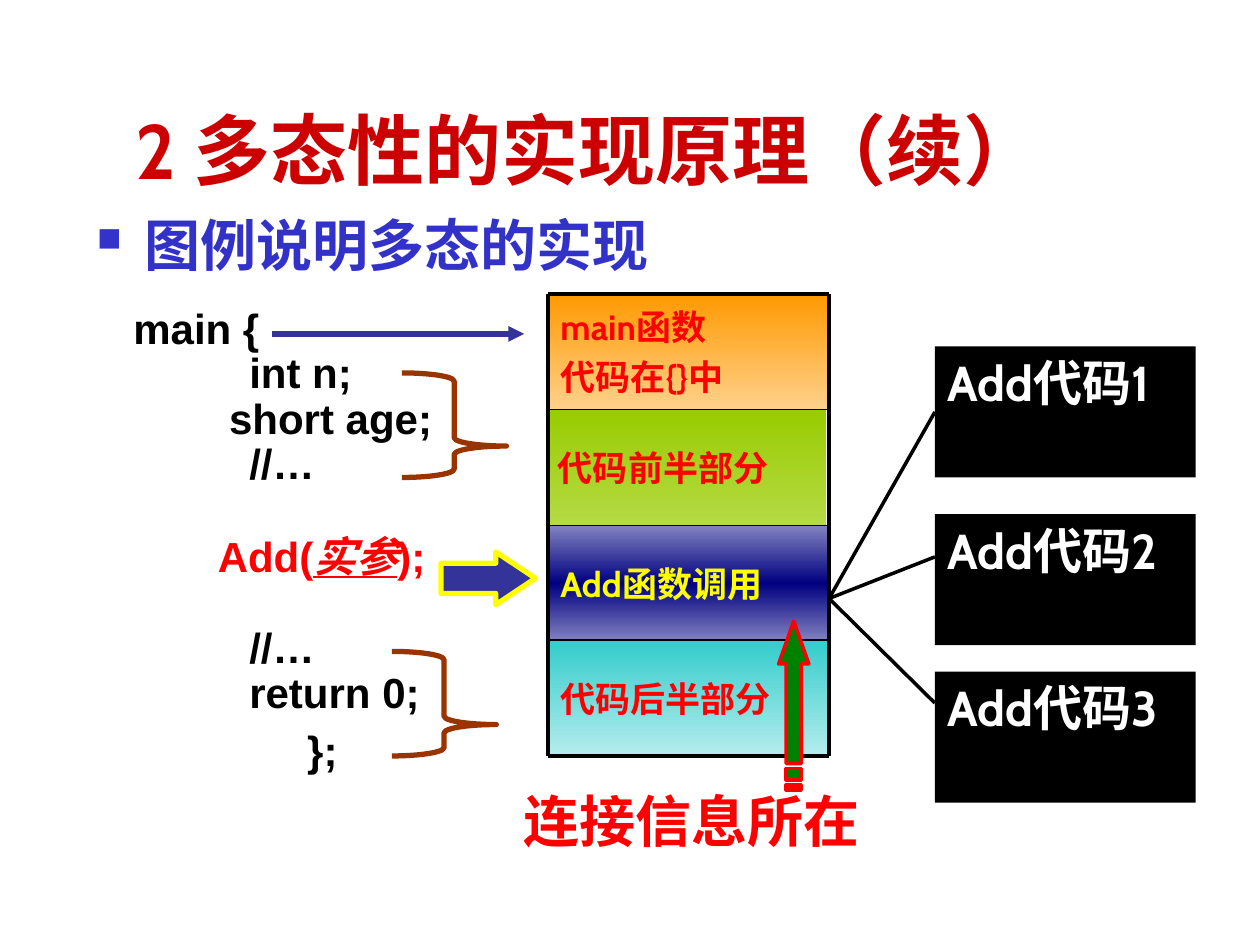
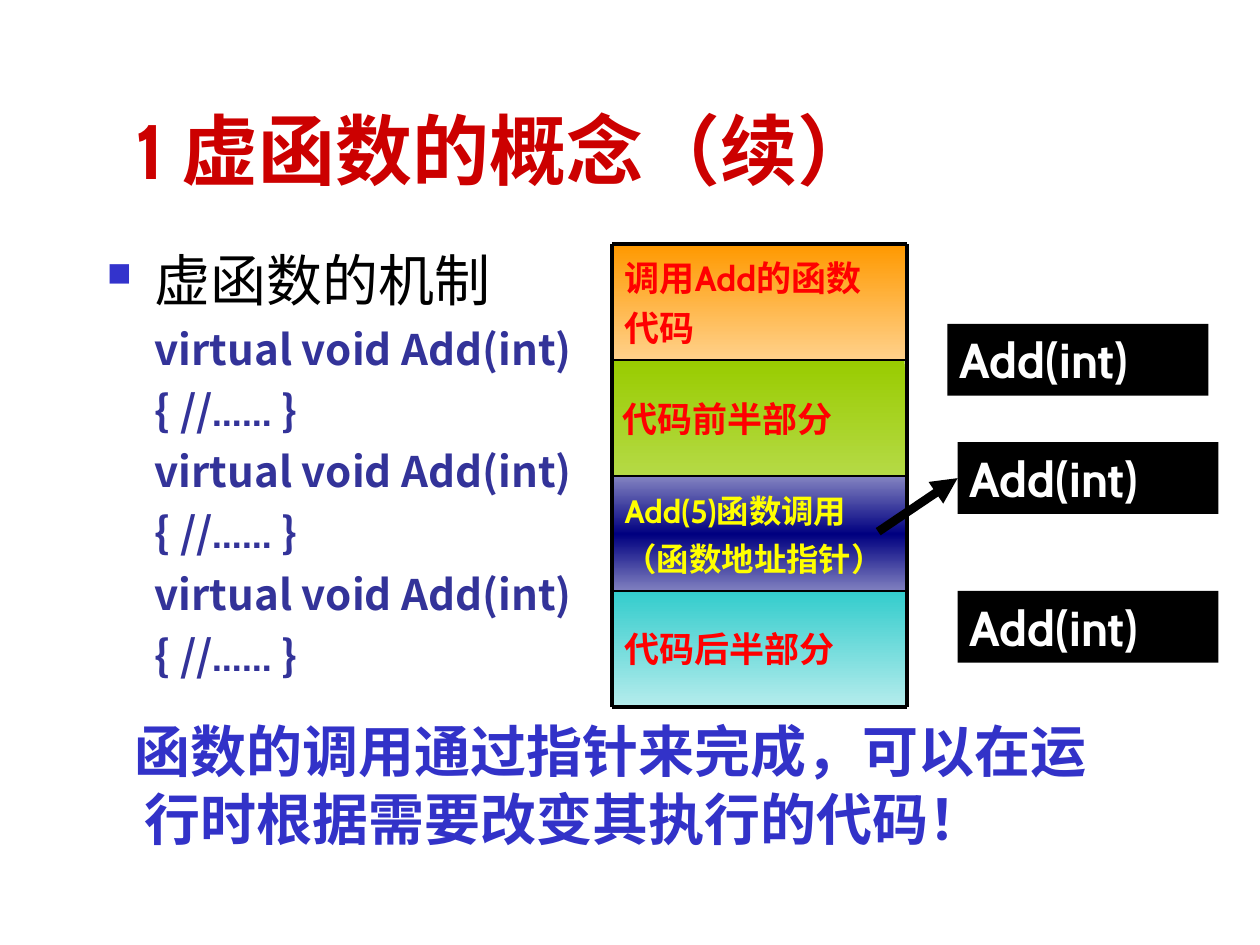
from dataclasses import dataclass, replace
from typing import Optional

from lxml.etree import SubElement
from pptx import Presentation
from pptx.dml.color import RGBColor
from pptx.enum.shapes import MSO_CONNECTOR, MSO_SHAPE
from pptx.enum.text import MSO_ANCHOR, PP_ALIGN
from pptx.oxml.ns import qn
from pptx.util import Pt

PX = 9144

BLACK = RGBColor(0x00, 0x00, 0x00)
WHITE = RGBColor(0xFF, 0xFF, 0xFF)
RED = RGBColor(0xFF, 0x00, 0x00)
YELLOW = RGBColor(0xFF, 0xFF, 0x00)
GREEN = RGBColor(0x00, 0x80, 0x00)
BROWN = RGBColor(0x99, 0x33, 0x00)
INDIGO = RGBColor(0x33, 0x33, 0x99)
TITLE_RED = RGBColor(0xCC, 0x00, 0x00)
HEADING_BLUE = RGBColor(0x32, 0x32, 0xC8)
BULLET_BLUE = RGBColor(0x33, 0x33, 0xCC)
ORANGE = RGBColor(0xFF, 0x99, 0x00)
PALE_ORANGE = RGBColor(0xFF, 0xD1, 0x8B)
LIME = RGBColor(0x99, 0xCC, 0x00)
PALE_LIME = RGBColor(0xB5, 0xDA, 0x46)
LAVENDER = RGBColor(0x83, 0x83, 0xC1)
NAVY = RGBColor(0x00, 0x00, 0x80)
TEAL = RGBColor(0x33, 0xCC, 0xCC)
PALE_TEAL = RGBColor(0xB5, 0xEC, 0xEC)


@dataclass(frozen=True)
class Style:
    size: float
    color: RGBColor
    font: str = "Cabin"
    bold: bool = True
    emphasis: bool = False


@dataclass(frozen=True)
class Box:
    left: int
    top: int
    width: int
    height: int

    def emu(self) -> tuple:
        return self.left * PX, self.top * PX, self.width * PX, self.height * PX


@dataclass(frozen=True)
class Line:
    pieces: tuple
    before: float = 0
    margin: int = 0
    indent: int = 0
    height: Optional[float] = None
    bullet: bool = False
    align: PP_ALIGN = PP_ALIGN.LEFT


@dataclass(frozen=True)
class Slot:
    texts: tuple
    style: Style
    colors: tuple
    nudge: int = 0


TITLE = Style(44, TITLE_RED)
HEADING = Style(32, HEADING_BLUE)
CAPTION = Style(32, RED)
SLOT_RED = Style(20, RED)
SLOT_YELLOW = Style(20, YELLOW)
TARGET = Style(28, WHITE)
CODE = Style(24, BLACK, "Arial")
CODE_RED = replace(CODE, color=RED)
TOPIC = Style(32, BLACK, "Noto Sans CJK SC", False)
DECLARATION = Style(24, INDIGO, "Noto Sans CJK SC")
HANGING = 38

FIRST_HALF = Slot(("代码前半部分",), SLOT_RED, (LIME, PALE_LIME), -2)
SECOND_HALF = Slot(("代码后半部分",), SLOT_RED, (TEAL, PALE_TEAL))
ENTRY_COLORS = (ORANGE, PALE_ORANGE)
CALL_COLORS = (LAVENDER, NAVY, LAVENDER)


def add_bullet(paragraph) -> None:
    properties = paragraph._p.get_or_add_pPr()
    color = SubElement(properties, qn("a:buClr"))
    SubElement(color, qn("a:srgbClr")).set("val", str(BULLET_BLUE))
    SubElement(properties, qn("a:buSzPct")).set("val", "60000")
    SubElement(properties, qn("a:buChar")).set("char", "■")


def format_run(run, style: Style) -> None:
    font = run.font
    font.size = Pt(style.size)
    font.bold = style.bold
    font.name = style.font
    font.color.rgb = style.color
    if style.emphasis:
        font.italic = font.underline = True
    latin = font._element.find(qn("a:latin"))
    east_asian = SubElement(font._element, qn("a:ea"))
    east_asian.set("typeface", style.font)
    latin.addnext(east_asian)


def write(shape, lines: list, anchor: MSO_ANCHOR = MSO_ANCHOR.TOP) -> None:
    frame = shape.text_frame
    frame.word_wrap = True
    frame.vertical_anchor = anchor
    for index, line in enumerate(lines):
        paragraph = frame.add_paragraph() if index else frame.paragraphs[0]
        paragraph.alignment = line.align
        paragraph.space_before = Pt(line.before)
        if line.height:
            paragraph.line_spacing = Pt(line.height)
        properties = paragraph._p.get_or_add_pPr()
        properties.set("marL", str(line.margin * PX))
        properties.set("indent", str(line.indent * PX))
        if line.bullet:
            add_bullet(paragraph)
        for position, (text, style) in enumerate(line.pieces):
            if position:
                run = paragraph.add_run()
                run.text = text
            else:
                paragraph.text = text
                run = paragraph.runs[0]
            format_run(run, style)


def add_text(slide, box: Box, lines: list, anchor: MSO_ANCHOR = MSO_ANCHOR.TOP) -> None:
    write(slide.shapes.add_textbox(*box.emu()), lines, anchor)


def paint(shape, fill: Optional[RGBColor], outline: Optional[RGBColor] = None, width: float = 0) -> None:
    shape.shadow.inherit = False
    if fill is None:
        shape.fill.background()
    else:
        shape.fill.solid()
        shape.fill.fore_color.rgb = fill
    if outline is None:
        shape.line.fill.background()
    else:
        shape.line.color.rgb = outline
        shape.line.width = Pt(width)


def paint_gradient(shape, colors: tuple) -> None:
    shape.fill.gradient()
    shape.fill.gradient_angle = 270
    stops = next(shape.element.iter(qn("a:gsLst")))
    for stop in list(stops):
        stops.remove(stop)
    for index, color in enumerate(colors):
        stop = SubElement(stops, qn("a:gs"))
        stop.set("pos", str(100000 * index // (len(colors) - 1)))
        SubElement(stop, qn("a:srgbClr")).set("val", str(color))


def add_line(slide, start: tuple, end: tuple, width: float, color: RGBColor = BLACK,
             arrow: bool = False, target=None) -> None:
    points = [value * PX for value in (*start, *end)]
    connector = slide.shapes.add_connector(MSO_CONNECTOR.STRAIGHT, *points)
    connector.line.color.rgb = color
    connector.line.width = Pt(width)
    if arrow:
        outline = connector.line._get_or_add_ln()
        SubElement(outline, qn("a:tailEnd")).set("type", "triangle")
    SubElement(connector.element.spPr, qn("a:effectLst"))
    if target is not None:
        connector.end_connect(target, 1)


def add_title(slide, text: str) -> None:
    add_text(slide, Box(98, 60, 852, 100), [Line(((text, TITLE),))], MSO_ANCHOR.BOTTOM)


def add_stack(slide, box: Box, slots: list) -> None:
    edges = [box.top + round(box.height * index / len(slots)) for index in range(len(slots) + 1)]
    for slot, top in reversed(list(zip(slots, edges))):
        area = Box(box.left + slot.nudge, top, box.width, 92)
        shape = slide.shapes.add_shape(MSO_SHAPE.RECTANGLE, *area.emu())
        paint(shape, None)
        paint_gradient(shape, slot.colors)
        write(shape, [Line(((text, slot.style),), 5) for text in slot.texts], MSO_ANCHOR.MIDDLE)
    right = box.left + box.width
    for edge in edges:
        add_line(slide, (box.left, edge), (right, edge), 2.25 if edge in (edges[0], edges[-1]) else 1)
    for side in (box.left, right):
        add_line(slide, (side, edges[0]), (side, edges[-1]), 2.25)


def add_target(slide, box: Box, text: str):
    shape = slide.shapes.add_shape(MSO_SHAPE.RECTANGLE, *box.emu())
    paint(shape, BLACK)
    write(shape, [Line(((text, TARGET),), 17.5, align=PP_ALIGN.JUSTIFY)])
    return shape


def add_brace(slide, left: int, top: int) -> None:
    shape = slide.shapes.add_shape(MSO_SHAPE.RIGHT_BRACE, *Box(left, top, 83, 83).emu())
    shape.adjustments[0] = 0.08
    shape.adjustments[1] = 0.7
    paint(shape, None, BROWN, 3)


def add_striped_arrow(slide) -> None:
    head = [(618, 527), (624, 527), (624, 606), (636, 606), (636, 527), (642, 527), (630, 493)]
    stripes = [[(624, bottom), (636, bottom), (636, top), (624, top)]
               for bottom, top in ((619, 610), (627, 623))]
    builder = slide.shapes.build_freeform(*head[0], scale=PX)
    builder.add_line_segments(head[1:], close=True)
    for stripe in stripes:
        builder.move_to(*stripe[0])
        builder.add_line_segments(stripe[1:], close=True)
    paint(builder.convert_to_shape(), GREEN, RED, 2)


def code_line(text: str, margin: int, before: float = 7) -> Line:
    return Line(((text, CODE),), before, margin, height=19)


def build_principle(slide) -> None:
    add_title(slide, "2 多态性的实现原理（续）")
    add_text(slide, Box(67, 162, 904, 71),
             [Line((("图例说明多态的实现", HEADING),), 8, HANGING, -HANGING, bullet=True)])
    call = (("Add(", CODE_RED), ("实参", replace(CODE_RED, emphasis=True)), (");", CODE_RED))
    add_text(slide, Box(51, 249, 331, 418), [
        code_line("main {", 45),
        code_line("int n;", 137, 6),
        code_line("short age;", 121),
        code_line("//…", 137),
        Line(call, 34, 112, height=19),
        code_line("//…", 137, 33),
        code_line("return 0;", 137),
        code_line("};", 183, 14),
    ])
    add_stack(slide, Box(435, 233, 223, 367), [
        Slot(("main函数", "代码在{}中"), SLOT_RED, ENTRY_COLORS),
        FIRST_HALF,
        Slot(("Add函数调用",), SLOT_YELLOW, CALL_COLORS),
        SECOND_HALF,
    ])
    targets = [add_target(slide, Box(742, top, 207, 104), f"Add代码{number}")
               for number, top in enumerate((275, 408, 533), 1)]
    call_exit = (658, 475)
    add_line(slide, call_exit, (742, 442), 2)
    add_line(slide, call_exit, (742, 558), 2)
    add_line(slide, call_exit, (742, 325), 2, target=targets[0])
    add_brace(slide, 319, 296)
    add_line(slide, (216, 265), (416, 265), 3, INDIGO, arrow=True)
    add_brace(slide, 311, 517)
    pointer = slide.shapes.add_shape(MSO_SHAPE.RIGHT_ARROW, *Box(350, 438, 75, 42).emu())
    pointer.adjustments[0] = 0.57
    pointer.adjustments[1] = 0.75
    paint(pointer, INDIGO, YELLOW, 3)
    add_text(slide, Box(406, 619, 307, 64), [Line((("连接信息所在", CAPTION),))])
    add_striped_arrow(slide)


def build_virtual_function(slide) -> None:
    add_title(slide, "1 虚函数的概念（续）")
    signature = (("virtual void Add(int)", DECLARATION),)
    body = (("{ //", DECLARATION), ("……", replace(DECLARATION, font="Cabin")), (" }", DECLARATION))
    topic = Line((("虚函数的机制", TOPIC),), 8, HANGING, -HANGING, 41, True)
    add_text(slide, Box(75, 186, 904, 485),
             [topic] + [Line(pieces, 6, HANGING, height=29) for pieces in (signature, body) * 3])
    add_stack(slide, Box(486, 194, 234, 367), [
        Slot(("调用Add的函数", "代码"), SLOT_RED, ENTRY_COLORS),
        FIRST_HALF,
        Slot(("Add(5)函数调用", "（函数地址指针）"), replace(SLOT_YELLOW, size=18.5), CALL_COLORS),
        SECOND_HALF,
    ])
    targets = [add_target(slide, Box(left, top, 207, 57), "Add(int)")
               for left, top in ((752, 257), (760, 351), (760, 469))]
    add_line(slide, (697, 422), (760, 383), 5, arrow=True, target=targets[1])
    conclusion = "函数的调用通过指针来完成，可以在运行时根据需要改变其执行的代码！"
    add_text(slide, Box(67, 564, 819, 117), [Line(((conclusion, HEADING),), 0, HANGING, -8)])


def main() -> None:
    presentation = Presentation()
    presentation.slide_width = 1000 * PX
    presentation.slide_height = 750 * PX
    blank = presentation.slide_layouts[6]
    for build in (build_principle, build_virtual_function):
        build(presentation.slides.add_slide(blank))
    presentation.save("out.pptx")


if __name__ == "__main__":
    main()
